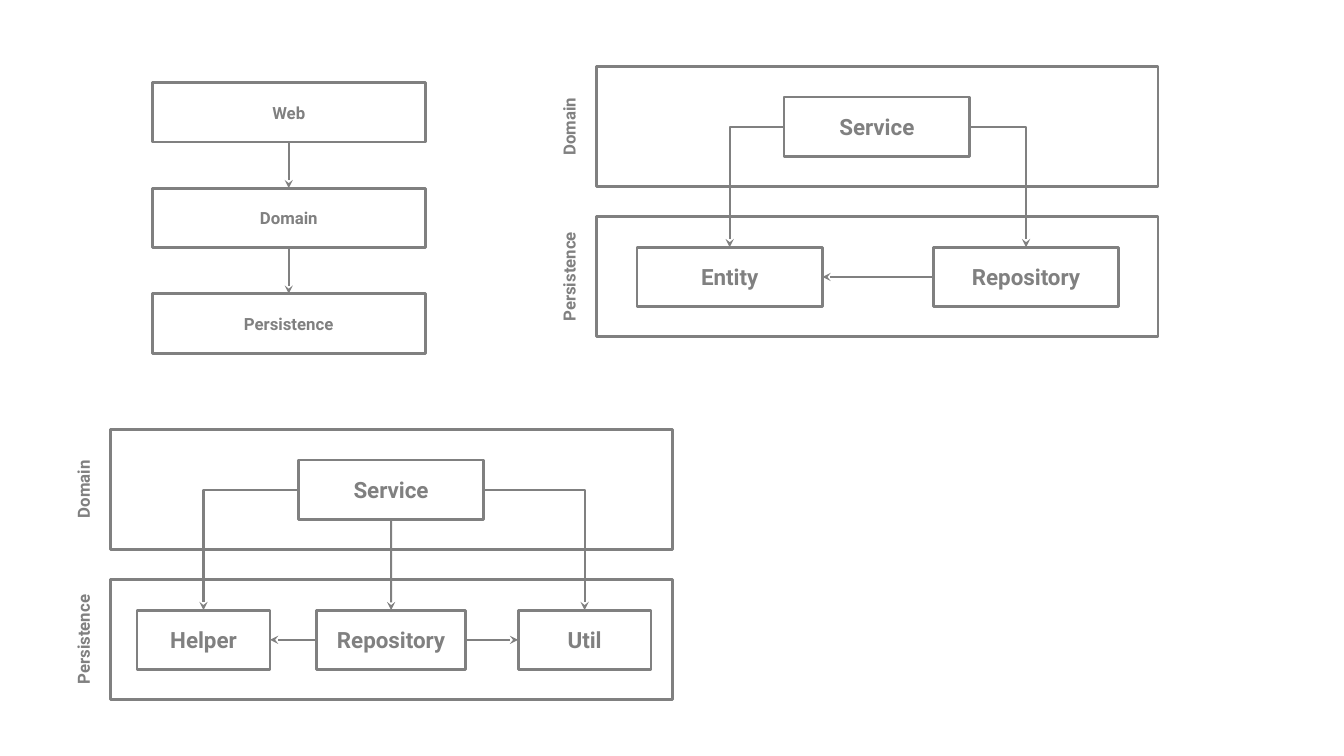
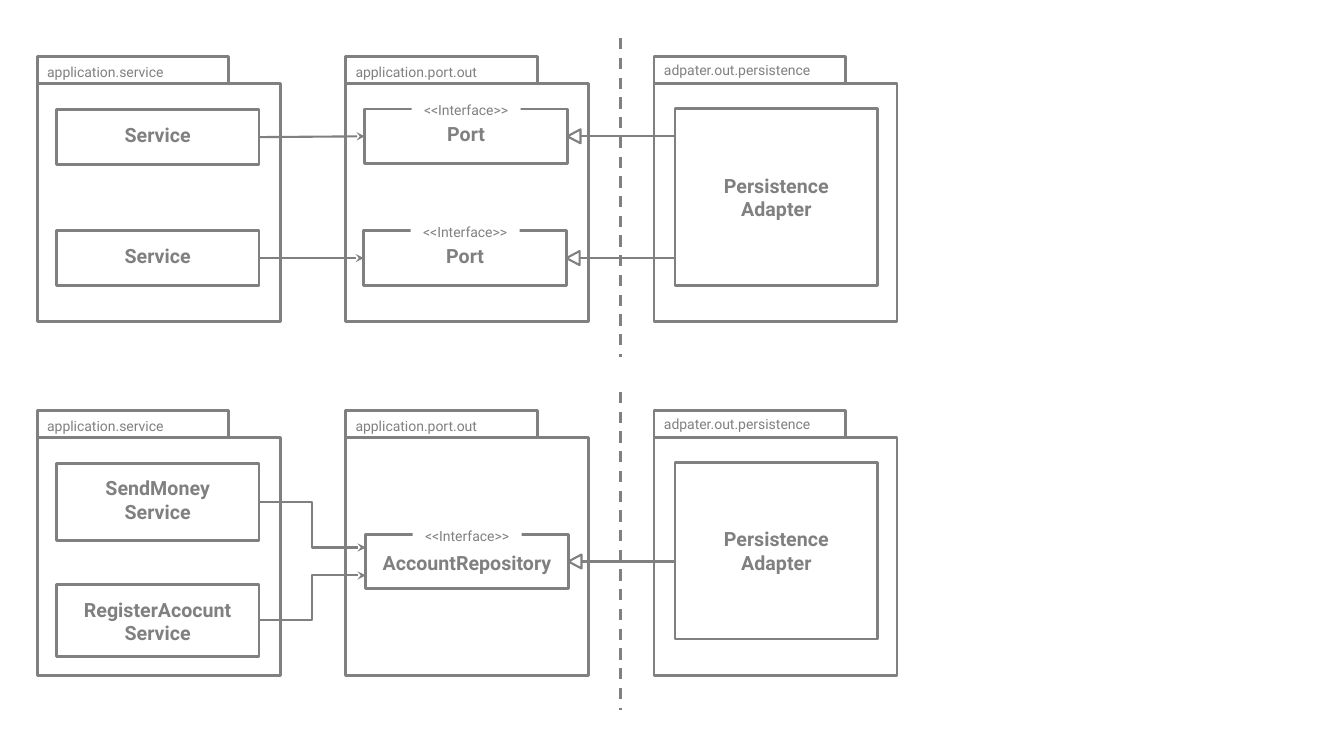
from lxml import etree
from pptx import Presentation
from pptx.dml.color import RGBColor
from pptx.enum.dml import MSO_LINE
from pptx.enum.shapes import MSO_CONNECTOR, MSO_SHAPE
from pptx.enum.text import MSO_ANCHOR, PP_ALIGN
from pptx.oxml.ns import qn
from pptx.util import Pt

RECT, TRIANGLE = MSO_SHAPE.RECTANGLE, MSO_SHAPE.ISOSCELES_TRIANGLE
STRAIGHT, ELBOW = MSO_CONNECTOR.STRAIGHT, MSO_CONNECTOR.ELBOW
LEFT, CENTER, MIDDLE = PP_ALIGN.LEFT, PP_ALIGN.CENTER, MSO_ANCHOR.MIDDLE
DASH = MSO_LINE.DASH
TOP_SITE, LEFT_SITE, BOTTOM_SITE, RIGHT_SITE = range(4)

FONT = "Roboto"
COLORS = {"ink": "808080", "paper": "FFFFFF"}
BOX_LINE, ARROW_LINE = 2, 1.5

# Slide 1 content: layer stack, then two layered diagrams
LAYERS = ["Web", "Domain", "Persistence"]
STACK = {"left": 108.7, "top": 59, "width": 195.1, "step": 75.4}
NODE_HEIGHT = 42.5
PANEL = {"width": 401, "height": 85.7, "step": 107.3}
NODE_ROWS = [21.8, 129.1]

# Nodes: name -> (row, left, width); arrows: (from, site, to, site)
DIAGRAMS = [
    {"origin": (426.2, 47.5),
     "nodes": {"Service": (0, 133.9, 132.5), "Entity": (1, 28.8, 132.5),
               "Repository": (1, 240.5, 132.5)},
     "arrows": [("Service", LEFT_SITE, "Entity", TOP_SITE),
                ("Service", RIGHT_SITE, "Repository", TOP_SITE),
                ("Repository", LEFT_SITE, "Entity", RIGHT_SITE)]},
    {"origin": (79.2, 306.7),
     "nodes": {"Service": (0, 133.9, 132.5), "Helper": (1, 18.7, 95),
               "Repository": (1, 146.9, 106.6), "Util": (1, 290.9, 95)},
     "arrows": [("Service", LEFT_SITE, "Helper", TOP_SITE),
                ("Service", BOTTOM_SITE, "Repository", TOP_SITE),
                ("Service", RIGHT_SITE, "Util", TOP_SITE),
                ("Repository", LEFT_SITE, "Helper", RIGHT_SITE),
                ("Repository", RIGHT_SITE, "Util", LEFT_SITE)]},
]

# Slide 2 content: packages as (name, text lift), members as
# (text, left, top, height, text lift) measured from their package
PACKAGES = [("application.service", -1.5), ("application.port.out", -1.5),
            ("adpater.out.persistence", 0)]
STEREOTYPE = "<<Interface>>"
ADAPTER = ("Persistence\nAdapter", 15, 37.4, 126, 0)
PACKAGE_ROWS = [
    {"services": [("Service", 13.7, 38.2, 38.9, 2),
                  ("Service", 13.7, 124.6, 38.9, 1.5)],
     "ports": [("Port", 13.7, 37.6, 38.9, 1.5), ("Port", 13, 124.6, 38.9, 1.5)]},
    {"services": [("SendMoney\nService", 13.7, 38.2, 54.7, 1.8),
                  ("RegisterAcocunt\nService", 13.7, 124.6, 51.1, -0.7)],
     "ports": [("AccountRepository", 14.4, 88.6, 38.9, -0.7)]},
]
PACKAGE = {"left": 26.6, "top": 40.3, "step_x": 220.3, "step_y": 252.7,
           "width": 173.5, "height": 169.9, "tab_width": 136.8, "tab_height": 19.4}
MEMBER_WIDTH = 144.7
STEREOTYPE_WIDTH = 77.8
BOUNDARY = {"x": 443.5, "rise": 13, "length": 227.5}
PORT_SPREAD = 10
TRIANGLE_BASE, TRIANGLE_HEIGHT = 10, 9.4


def color(name):
    return RGBColor.from_string(COLORS[name])


def write(shape, text, size, bold=True, align=CENTER, lift=0, side=4):
    frame = shape.text_frame
    frame.word_wrap = True
    frame.vertical_anchor = MIDDLE
    frame.margin_left = frame.margin_right = Pt(side)
    frame.margin_top = Pt(max(-2 * lift, 0))
    frame.margin_bottom = Pt(max(2 * lift, 0))
    frame.text = text
    for paragraph in frame.paragraphs:
        paragraph.alignment = align
        for run in paragraph.runs:
            run.font.name, run.font.size, run.font.bold = FONT, Pt(size), bold
            run.font.color.rgb = color("ink")


def add_box(slide, left, top, width, height, kind=RECT, fill=None, line=BOX_LINE):
    box = slide.shapes.add_shape(kind, Pt(left), Pt(top), Pt(width), Pt(height))
    box.shadow.inherit = False
    if fill:
        box.fill.solid()
        box.fill.fore_color.rgb = color(fill)
    else:
        box.fill.background()
    if line:
        box.line.color.rgb = color("ink")
        box.line.width = Pt(line)
    else:
        box.line.fill.background()
    return box


def add_line(slide, start, end, kind=STRAIGHT, width=ARROW_LINE, arrow=False):
    line = slide.shapes.add_connector(kind, *start, *end)
    line.line.color.rgb = color("ink")
    line.line.width = Pt(width)
    properties = line._element.spPr
    etree.SubElement(properties, qn("a:effectLst"))
    if arrow:
        etree.SubElement(properties.find(qn("a:ln")), qn("a:tailEnd"), type="stealth")
    return line


def site_point(box, site):
    middle_x, middle_y = box.left + box.width // 2, box.top + box.height // 2
    return [(middle_x, box.top), (box.left, middle_y),
            (middle_x, box.top + box.height), (box.left + box.width, middle_y)][site]


def link(slide, source, source_site, target, target_site):
    """Glue an arrow to two boxes, with one corner when it turns."""
    turns = source_site in (LEFT_SITE, RIGHT_SITE) and target_site == TOP_SITE
    arrow = add_line(slide, site_point(source, source_site),
                     site_point(target, target_site),
                     ELBOW if turns else STRAIGHT, arrow=True)
    arrow.begin_connect(source, source_site)
    arrow.end_connect(target, target_site)
    if turns:
        arrow._element.spPr.find(qn("a:prstGeom")).set("prst", "bentConnector2")


def draw_stack(slide):
    boxes = []
    for i, layer in enumerate(LAYERS):
        box = add_box(slide, STACK["left"], STACK["top"] + i * STACK["step"],
                      STACK["width"], NODE_HEIGHT)
        write(box, layer, 12)
        boxes.append(box)
    for upper, lower in zip(boxes, boxes[1:]):
        link(slide, upper, BOTTOM_SITE, lower, TOP_SITE)


def draw_diagram(slide, diagram):
    left, top = diagram["origin"]
    label_width, label_height = 87, 21.6
    for i, layer in enumerate(LAYERS[1:]):
        panel_top = top + i * PANEL["step"]
        add_box(slide, left, panel_top, PANEL["width"], PANEL["height"])
        label = slide.shapes.add_textbox(
            Pt(left - 19.8 - label_width / 2),
            Pt(panel_top + (PANEL["height"] - label_height) / 2),
            Pt(label_width), Pt(label_height))
        label.rotation = 270
        write(label, layer, 12)
    nodes = {}
    for name, (row, offset, width) in diagram["nodes"].items():
        nodes[name] = add_box(slide, left + offset, top + NODE_ROWS[row],
                              width, NODE_HEIGHT)
        write(nodes[name], name, 16)
    for source, source_site, target, target_site in diagram["arrows"]:
        link(slide, nodes[source], source_site, nodes[target], target_site)


def draw_package(slide, left, top, name, lift):
    tab = add_box(slide, left, top, PACKAGE["tab_width"], PACKAGE["tab_height"])
    write(tab, name, 10, bold=False, align=LEFT, lift=lift, side=7.2)
    add_box(slide, left, top + PACKAGE["tab_height"],
            PACKAGE["width"], PACKAGE["height"])


def draw_member(slide, left, top, member):
    text, offset_x, offset_y, height, lift = member
    box = add_box(slide, left + offset_x, top + offset_y, MEMBER_WIDTH, height)
    write(box, text, 14, lift=lift)
    return box


def draw_port(slide, left, top, port):
    box = draw_member(slide, left, top, port)
    height = PACKAGE["tab_height"]
    label = add_box(slide, box.left.pt + (MEMBER_WIDTH - STEREOTYPE_WIDTH) / 2,
                    box.top.pt + 1 - height / 2, STEREOTYPE_WIDTH, height,
                    fill="paper", line=None)
    write(label, STEREOTYPE, 10, bold=False)
    return box


def draw_realization(slide, adapter, port):
    tip_x, tip_y = site_point(port, RIGHT_SITE)
    add_line(slide, (adapter.left, tip_y), (tip_x, tip_y))
    center_x, center_y = tip_x / Pt(1) + TRIANGLE_HEIGHT / 2, tip_y / Pt(1)
    triangle = add_box(slide, center_x - TRIANGLE_BASE / 2,
                       center_y - TRIANGLE_HEIGHT / 2, TRIANGLE_BASE,
                       TRIANGLE_HEIGHT, TRIANGLE, "paper", ARROW_LINE)
    triangle.rotation = 270


def draw_package_row(slide, index, row):
    top = PACKAGE["top"] + index * PACKAGE["step_y"]
    lefts = [PACKAGE["left"] + i * PACKAGE["step_x"] for i in range(len(PACKAGES))]
    for left, (name, lift) in zip(lefts, PACKAGES):
        draw_package(slide, left, top, name, lift)
    services = [draw_member(slide, lefts[0], top, s) for s in row["services"]]
    ports = [draw_port(slide, lefts[1], top, p) for p in row["ports"]]
    adapter = draw_member(slide, lefts[2], top, ADAPTER)

    # Boundary between application and adapter
    start = top - BOUNDARY["rise"]
    boundary = add_line(slide, (Pt(BOUNDARY["x"]), Pt(start)),
                        (Pt(BOUNDARY["x"]), Pt(start + BOUNDARY["length"])),
                        width=BOX_LINE)
    boundary.line.dash_style = DASH

    # Services use ports; the adapter realizes them
    if len(ports) == len(services):
        for service, port in zip(services, ports):
            link(slide, service, RIGHT_SITE, port, LEFT_SITE)
    else:
        port_x, port_y = site_point(ports[0], LEFT_SITE)
        for service, shift in zip(services, (-PORT_SPREAD, PORT_SPREAD)):
            add_line(slide, site_point(service, RIGHT_SITE),
                     (port_x, port_y + Pt(shift)), ELBOW, arrow=True)
    for port in ports:
        draw_realization(slide, adapter, port)


def main():
    deck = Presentation()
    deck.slide_width, deck.slide_height = Pt(960), Pt(540)
    blank = deck.slide_layouts[6]

    layers = deck.slides.add_slide(blank)
    draw_stack(layers)
    for diagram in DIAGRAMS:
        draw_diagram(layers, diagram)

    packages = deck.slides.add_slide(blank)
    for index, row in enumerate(PACKAGE_ROWS):
        draw_package_row(packages, index, row)

    deck.save("out.pptx")


if __name__ == "__main__":
    main()
